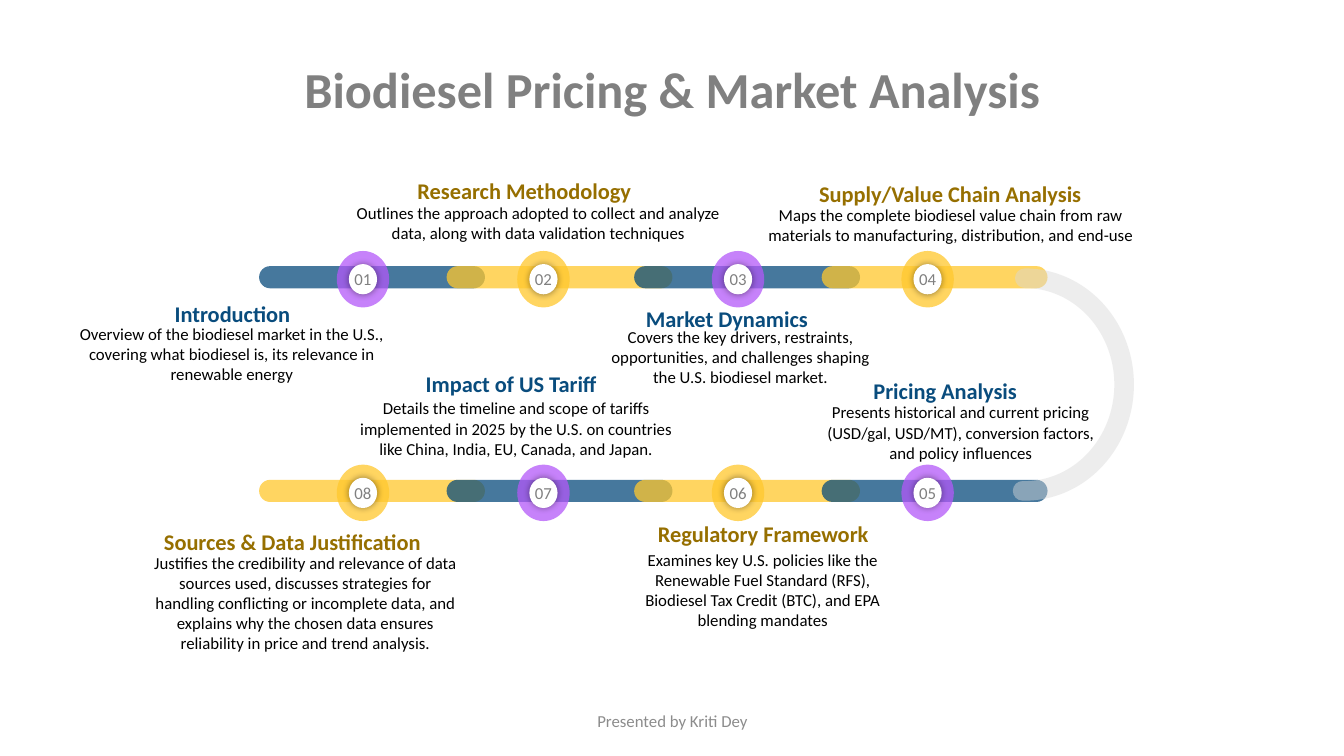
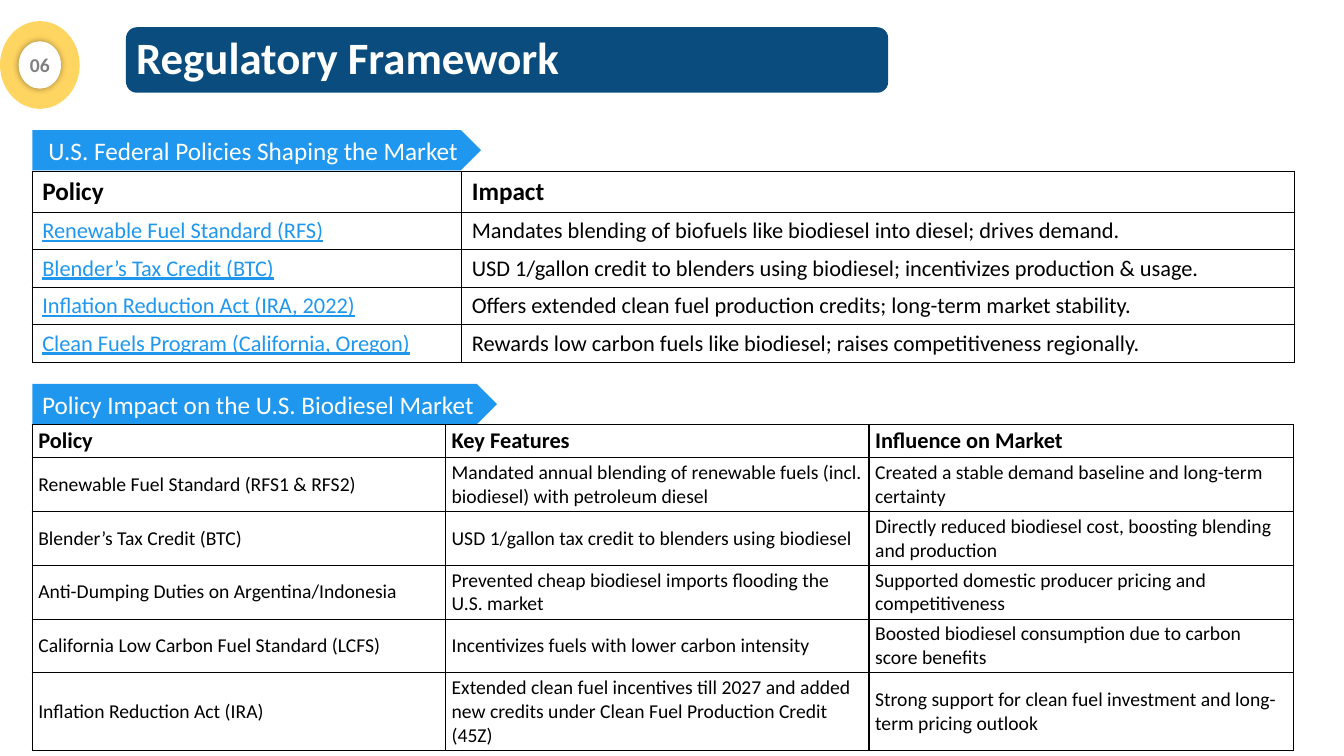
from lxml import etree
from pptx import Presentation
from pptx.dml.color import RGBColor
from pptx.enum import shapes, text
from pptx.oxml.ns import qn
from pptx.util import Inches, Pt

WHITE = RGBColor(0xFF, 0xFF, 0xFF)
BLACK = RGBColor(0, 0, 0)
NAVY = RGBColor(0x09, 0x4C, 0x7D)
AMBER = RGBColor(0xFF, 0xC8, 0x2D)
BROWN = RGBColor(0x96, 0x6F, 0x00)
PURPLE = RGBColor(0xB3, 0x59, 0xF9)
SKY = RGBColor(0x1F, 0x97, 0xEE)
GREY = RGBColor(0x80, 0x80, 0x80)
FOOTER_GREY = RGBColor(0x8C, 0x8C, 0x8C)
LIGHT_GREY = RGBColor(0xD9, 0xD9, 0xD9)

SHAPE = shapes.MSO_SHAPE
LEFT, CENTER = text.PP_ALIGN.LEFT, text.PP_ALIGN.CENTER
TOP, MIDDLE = text.MSO_ANCHOR.TOP, text.MSO_ANCHOR.MIDDLE

# heading, (left, top, width), body, (left, top, width, height)
STEPS = [
    ("Introduction", (0.71, 2.93, 3.19),
     "Overview of the biodiesel market in the U.S., covering what biodiesel is, "
     "its relevance in renewable energy", (0.63, 3.16, 3.34, 0.91)),
    ("Research Methodology", (3.64, 1.71, 3.12),
     "Outlines the approach adopted to collect and analyze data, along with data "
     "validation techniques", (3.31, 1.96, 4.06, 0.65)),
    ("Market Dynamics", (5.66, 2.98, 3.1),
     "Covers the key drivers, restraints, opportunities, and challenges shaping "
     "the U.S. biodiesel market.", (5.85, 3.19, 2.99, 0.91)),
    ("Supply/Value Chain Analysis", (7.58, 1.74, 3.69),
     "Maps the complete biodiesel value chain from raw materials to manufacturing, "
     "distribution, and end-use", (7.47, 1.98, 3.92, 0.91)),
    ("Pricing Analysis", (7.87, 3.69, 3.01),
     "Presents historical and current pricing (USD/gal, USD/MT), conversion "
     "factors, and policy influences", (8.05, 3.94, 2.96, 0.91)),
    ("Regulatory Framework", (6.29, 5.11, 2.56),
     "Examines key U.S. policies like the Renewable Fuel Standard (RFS), Biodiesel "
     "Tax Credit (BTC), and EPA blending mandates", (6.19, 5.4, 2.75, 0.91)),
    ("Impact of US Tariff", (3.23, 3.62, 3.68),
     "Details the timeline and scope of tariffs implemented in 2025 by the U.S. on "
     "countries like China, India, EU, Canada, and Japan.", (3.35, 3.9, 3.54, 0.91)),
    ("Sources & Data Justification", (1.46, 5.19, 2.88),
     "Justifies the credibility and relevance of data sources used, discusses "
     "strategies for handling conflicting or incomplete data, and explains why the "
     "chosen data ensures reliability in price and trend analysis.",
     (1.43, 5.43, 3.2, 1.11)),
]

FEDERAL_POLICIES = [
    ("Policy", "Impact"),
    ("Renewable Fuel Standard (RFS)",
     "Mandates blending of biofuels like biodiesel into diesel; drives demand."),
    ("Blender’s Tax Credit (BTC)",
     "USD 1/gallon credit to blenders using biodiesel; incentivizes production & usage."),
    ("Inflation Reduction Act (IRA, 2022)",
     "Offers extended clean fuel production credits; long-term market stability."),
    ("Clean Fuels Program (California, Oregon)",
     "Rewards low carbon fuels like biodiesel; raises competitiveness regionally."),
]

POLICY_IMPACT = [
    ("Policy", "Key Features", "Influence on Market"),
    ("Renewable Fuel Standard (RFS1 & RFS2)",
     "Mandated annual blending of renewable fuels (incl. biodiesel) with petroleum diesel",
     "Created a stable demand baseline and long-term certainty"),
    ("Blender’s Tax Credit (BTC)",
     "USD 1/gallon tax credit to blenders using biodiesel",
     "Directly reduced biodiesel cost, boosting blending and production"),
    ("Anti-Dumping Duties on Argentina/Indonesia",
     "Prevented cheap biodiesel imports flooding the U.S. market",
     "Supported domestic producer pricing and competitiveness"),
    ("California Low Carbon Fuel Standard (LCFS)",
     "Incentivizes fuels with lower carbon intensity",
     "Boosted biodiesel consumption due to carbon score benefits"),
    ("Inflation Reduction Act (IRA)",
     "Extended clean fuel incentives till 2027 and added new credits under "
     "Clean Fuel Production Credit (45Z)",
     "Strong support for clean fuel investment and long-term pricing outlook"),
]


def set_alpha(fill_parent, percent):
    color = fill_parent.find(qn("a:solidFill"))[0]
    etree.SubElement(color, qn("a:alpha"), val=str(percent * 1000))


def write(tf, content, size, color, bold=False, underline=False, align=LEFT,
          anchor=TOP, spacing=None, insets=(0.1, 0.05, 0.1, 0.05), wrap=True):
    """Fill a text frame; insets are left, top, right and bottom in inches."""
    tf.word_wrap = wrap
    tf.auto_size = text.MSO_AUTO_SIZE.NONE
    tf.vertical_anchor = anchor
    tf.margin_left, tf.margin_top, tf.margin_right, tf.margin_bottom = map(Inches, insets)
    write_paragraph(tf.paragraphs[0], content, size, color, bold, underline, align)
    if spacing:
        tf.paragraphs[0].line_spacing = spacing


def write_paragraph(p, content, size, color, bold=False, underline=False, align=LEFT):
    p.alignment = align
    r = p.add_run()
    r.text = content
    r.font.name = Deck.FONT
    r.font.size = Pt(size)
    r.font.bold = bold
    r.font.underline = underline
    r.font.color.rgb = color


def set_borders(cell):
    tc_pr = cell._tc.get_or_add_tcPr()
    for i, side in enumerate(("lnL", "lnR", "lnT", "lnB")):
        ln = etree.Element(qn(f"a:{side}"), w=str(Pt(1)))
        fill = etree.SubElement(ln, qn("a:solidFill"))
        etree.SubElement(fill, qn("a:srgbClr"), val=str(BLACK))
        tc_pr.insert(i, ln)


class Deck:
    FONT = "Calibri"

    def __init__(self):
        self.prs = Presentation()
        self.prs.slide_width, self.prs.slide_height = Inches(13.33), Inches(7.5)
        self.s = None

    def new_slide(self):
        self.s = self.prs.slides.add_slide(self.prs.slide_layouts[5])

    def title(self, content, box, size, color, align):
        sp = self.s.shapes.title
        sp.left, sp.top, sp.width, sp.height = map(Inches, box)
        write(sp.text_frame, content, size, color, bold=True, align=align,
              anchor=MIDDLE, spacing=0.9)

    def shape(self, kind, box, color, alpha=None, parent=None):
        sp = (parent or self.s).shapes.add_shape(kind, *map(Inches, box))
        sp.shadow.inherit = False
        sp.fill.solid()
        sp.fill.fore_color.rgb = color
        sp.line.fill.background()
        if alpha:
            set_alpha(sp._element.spPr, alpha)
        return sp

    def text(self, content, box, size, color, **fmt):
        sp = self.s.shapes.add_textbox(*map(Inches, box))
        write(sp.text_frame, content, size, color, **fmt)

    def pill(self, box, color):
        self.shape(SHAPE.ROUNDED_RECTANGLE, box, color, alpha=75).adjustments[0] = 0.5

    def badge(self, number, box, inner, color, size, bold=False):
        """Numbered ring: a tinted disc with a smaller white disc at its centre."""
        left, top, w, h = box
        inner_w, inner_h = inner
        group = self.s.shapes.add_group_shape()
        self.shape(SHAPE.OVAL, box, color, alpha=75, parent=group)
        sp = self.shape(SHAPE.OVAL, (left + (w - inner_w) / 2, top + (h - inner_h) / 2,
                                     inner_w, inner_h), WHITE, parent=group)
        effects = sp._element.spPr.find(qn("a:effectLst"))
        shadow = etree.SubElement(effects, qn("a:outerShdw"), blurRad=str(Pt(5)),
                                  dist="0", dir="0", algn="ctr", rotWithShape="0")
        tint = etree.SubElement(shadow, qn("a:srgbClr"), val=str(BLACK))
        etree.SubElement(tint, qn("a:alpha"), val="40000")
        write(sp.text_frame, f"{number:02d}", size, GREY, bold=bold, align=CENTER,
              anchor=MIDDLE, insets=(0, 0, 0, 0), wrap=False)

    def arc(self, box, start, end, color, width, alpha):
        sp = self.s.shapes.add_shape(SHAPE.ARC, *map(Inches, box))
        sp.shadow.inherit = False
        sp.adjustments[0], sp.adjustments[1] = start * 0.6, end * 0.6
        sp.fill.background()
        sp.line.color.rgb = color
        sp.line.width = Pt(width)
        ln = sp._element.spPr.find(qn("a:ln"))
        ln.set("cap", "rnd")
        set_alpha(ln, alpha)

    def section_tag(self, content, top, width, indent):
        sp = self.shape(SHAPE.PENTAGON, (0.32, top, width, 0.4), SKY)
        write(sp.text_frame, content, 18, WHITE, anchor=MIDDLE,
              insets=(indent, 0.05, 0, 0.05))

    def table(self, rows, top, widths, heights, sizes, insets, links=False):
        """Ruled table; sizes are header and body points, links marks column one."""
        frame = self.s.shapes.add_table(len(rows), len(widths), Inches(0.32), Inches(top),
                                        Inches(sum(widths)), Inches(sum(heights)))
        table = frame.table
        table.first_row = table.horz_banding = False
        for col, width in zip(table.columns, widths):
            col.width = Inches(width)
        for i, (row, height) in enumerate(zip(rows, heights)):
            table.rows[i].height = Inches(height)
            for j, content in enumerate(row):
                cell = table.cell(i, j)
                cell.fill.background()
                cell.vertical_anchor = MIDDLE
                cell.margin_left = cell.margin_right = Inches(insets[0])
                cell.margin_top = cell.margin_bottom = Inches(insets[1])
                set_borders(cell)
                link = links and i > 0 and j == 0
                write_paragraph(cell.text_frame.paragraphs[0], content, sizes[min(i, 1)],
                                SKY if link else BLACK, bold=i == 0, underline=link)


def roadmap(deck):
    deck.new_slide()
    deck.title("Biodiesel Pricing & Market Analysis", (0.92, 0.49, 11.5, 0.84),
               36, GREY, CENTER)
    badge_lefts = (3.34, 5.13, 7.06, 8.94)
    # The lower row runs backwards, from 08 to 05
    places = [(n, col, bar_top) for bar_top, numbers in ((2.64, range(1, 5)),
                                                         (4.76, range(8, 4, -1)))
              for col, n in enumerate(numbers)]
    for n, col, bar_top in places:
        deck.pill((2.57 + 1.86 * col, bar_top, 2.24, 0.22), NAVY if n % 2 else AMBER)
    for n, col, bar_top in places:
        deck.badge(n, (badge_lefts[col], bar_top - 0.15, 0.52, 0.56), (0.28, 0.3),
                   PURPLE if n % 2 else AMBER, 12)
    for n, (heading, heading_box, body, body_box) in enumerate(STEPS, 1):
        deck.text(heading, (*heading_box, 0.37), 16, NAVY if n % 2 else BROWN,
                  bold=True, align=CENTER)
        deck.text(body, body_box, 12, BLACK, align=CENTER)
    deck.arc((9.18, 2.76, 1.97, 2.11), 270, 91.17, LIGHT_GREY, 14, 45)
    deck.text("Presented by Kriti Dey", (4.42, 6.95, 4.5, 0.4), 12, FOOTER_GREY,
              align=CENTER, anchor=MIDDLE)


def regulatory_framework(deck):
    deck.new_slide()
    band = (1.25, 0.27, 7.56, 0.65)
    # The band goes behind the title placeholder
    sp = deck.shape(SHAPE.ROUNDED_RECTANGLE, band, NAVY)
    deck.s.shapes.title._element.addprevious(sp._element)
    deck.title("Regulatory Framework", band, 32, WHITE, LEFT)
    deck.badge(6, (0, 0.21, 0.79, 0.87), (0.42, 0.47), AMBER, 14, bold=True)
    deck.table(FEDERAL_POLICIES, 1.7, (4.26, 8.26), (0.4,) + (0.37,) * 4,
               (18, 16), (0.1, 0.05), links=True)
    deck.section_tag("U.S. Federal Policies Shaping the Market", 1.29, 4.45, 0.16)
    deck.section_tag("Policy Impact on the U.S. Biodiesel Market", 3.81, 4.61, 0.1)
    deck.table(POLICY_IMPACT, 4.21, (4.1, 4.2, 4.21), (0.3,) + (0.49,) * 4 + (0.71,),
               (16, 14), (0.06, 0.03))


def main():
    deck = Deck()
    roadmap(deck)
    regulatory_framework(deck)
    deck.prs.save("out.pptx")


if __name__ == "__main__":
    main()
